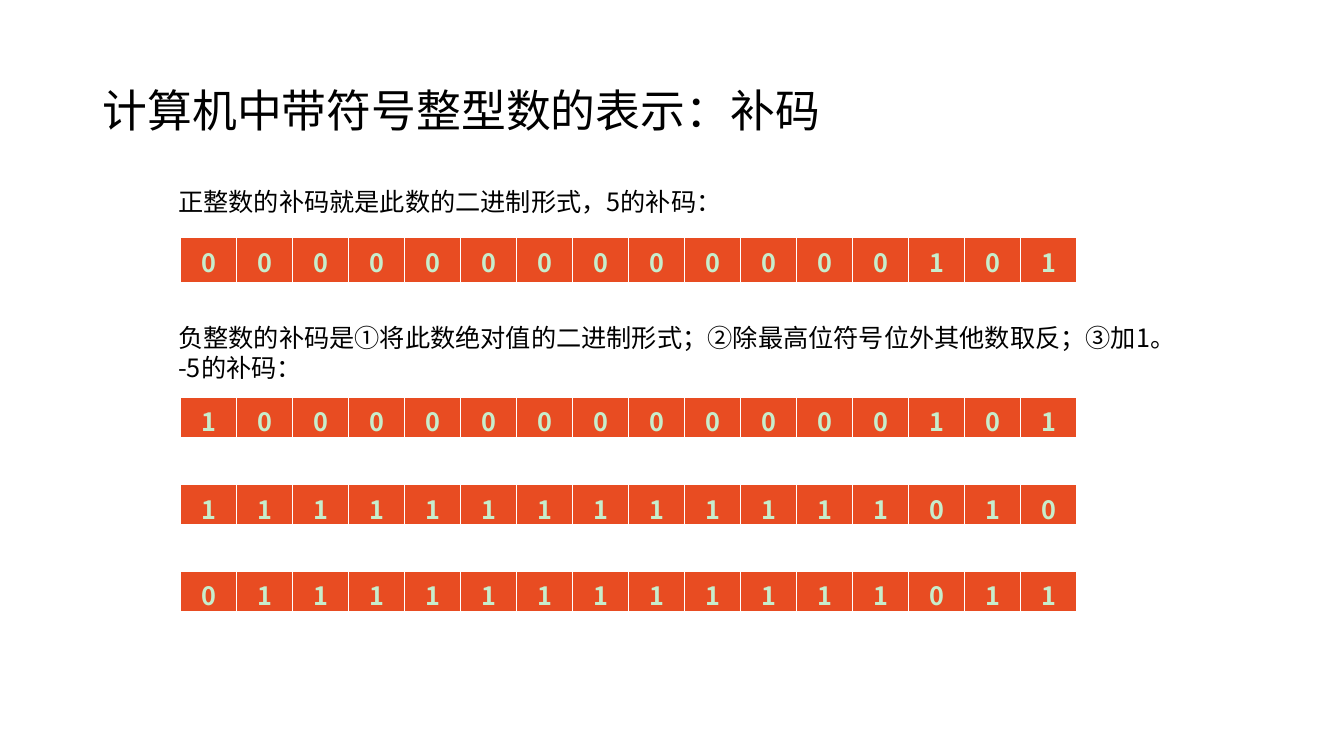
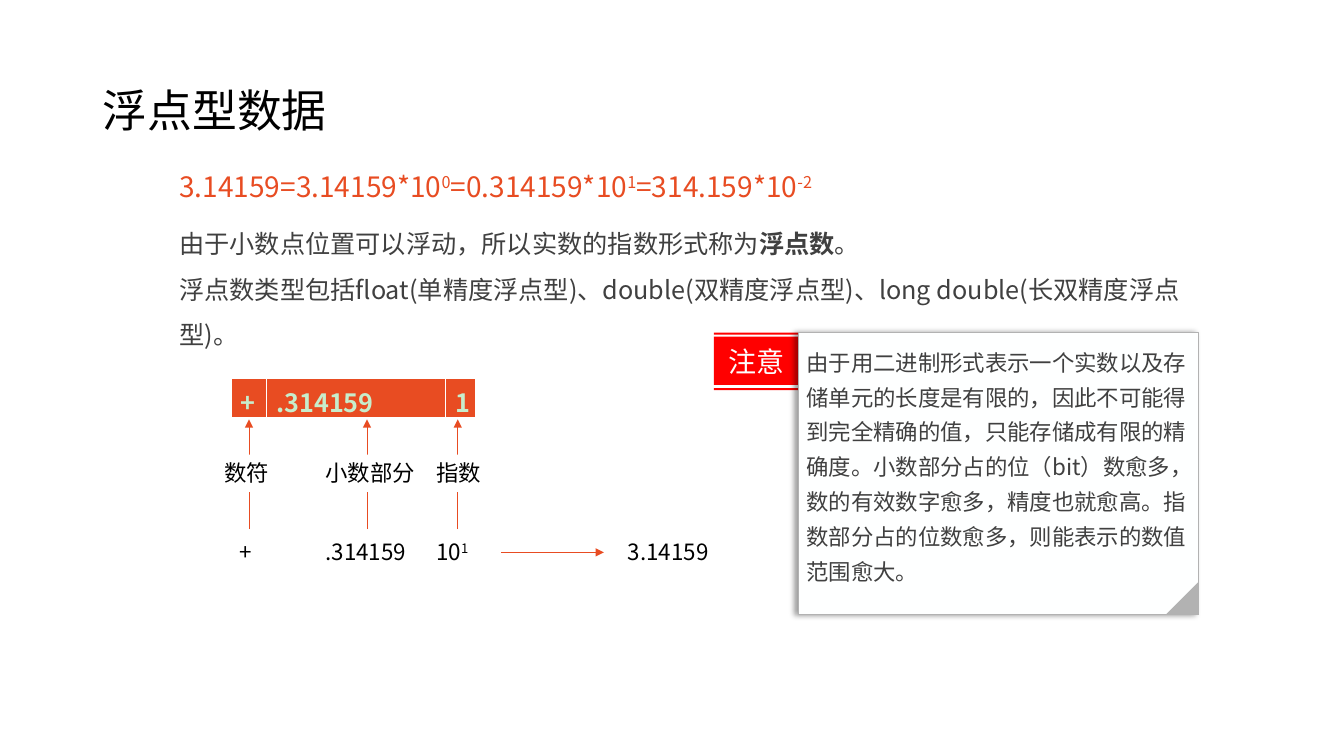
from lxml import etree
from pptx import Presentation
from pptx.dml.color import RGBColor
from pptx.enum import shapes, text
from pptx.oxml.ns import qn
from pptx.util import Inches, Pt

FONT = "Noto Sans CJK SC"
WHITE = RGBColor(0xFF, 0xFF, 0xFF)
BLACK = RGBColor(0x00, 0x00, 0x00)
ORANGE = RGBColor(0xE8, 0x4C, 0x22)
MINT = RGBColor(0xC7, 0xED, 0xCC)
GREY = RGBColor(0x40, 0x40, 0x40)
SILVER = RGBColor(0xB2, 0xB2, 0xB2)
RED = RGBColor(0xFF, 0x00, 0x00)
NOTE_WHITE = RGBColor(0xFE, 0xFF, 0xFF)

LEFT, CENTER, JUSTIFY = (text.PP_ALIGN.LEFT, text.PP_ALIGN.CENTER,
                         text.PP_ALIGN.JUSTIFY)
TOP, MIDDLE = text.MSO_ANCHOR.TOP, text.MSO_ANCHOR.MIDDLE


def write(frame, paragraphs, size, color, align=LEFT, spacing=None, bold=False,
          tabs=()):
    """Fill a text frame; each paragraph is a list of (text, style) runs,
    where style is "", "bold" or "super"; tabs are stops in inches."""
    frame.word_wrap = True
    for index, runs in enumerate(paragraphs):
        paragraph = frame.paragraphs[0] if index == 0 else frame.add_paragraph()
        paragraph.alignment = align
        if spacing:
            paragraph.line_spacing = spacing
        if tabs:
            stops = etree.SubElement(paragraph._p.get_or_add_pPr(), qn("a:tabLst"))
            for stop in tabs:
                etree.SubElement(stops, qn("a:tab"), pos=str(Inches(stop)), algn="l")
        for words, style in runs:
            run = paragraph.add_run()
            run.text = words
            run_format = {"name": FONT, "size": Pt(size),
                          "bold": bold or style == "bold"}
            for key, value in run_format.items():
                setattr(run.font, key, value)
            run.font.color.rgb = color
            properties = run._r.get_or_add_rPr()
            etree.SubElement(properties, qn("a:ea"), typeface=FONT)
            if style == "super":
                properties.set("baseline", "30000")


def add_cells(slide, left, top, widths, values, align, height=0.41):
    """Add a one-row table of orange cells."""
    table = slide.shapes.add_table(1, len(values), Inches(left), Inches(top),
                                   Inches(sum(widths)), Inches(height)).table
    table.first_row = table.horz_banding = False
    for column, width in zip(table.columns, widths):
        column.width = Inches(width)
    for cell, value in zip(table.rows[0].cells, values):
        cell.margin_bottom = 0
        properties = cell._tc.get_or_add_tcPr()
        for side, points in {"L": 1, "R": 1, "T": 1, "B": 3}.items():
            border = etree.SubElement(properties, qn(f"a:ln{side}"), w=str(Pt(points)))
            paint = etree.SubElement(border, qn("a:solidFill"))
            etree.SubElement(paint, qn("a:srgbClr"), val=str(WHITE))
        cell.fill.solid()
        cell.fill.fore_color.rgb = ORANGE
        write(cell.text_frame, [[(value, "")]], 18, MINT, align, bold=True)


deck = Presentation()
deck.slide_width, deck.slide_height = Inches(13.33), Inches(7.5)

pages = []
for heading in ("计算机中带符号整型数的表示：补码", "浮点型数据"):
    page = deck.slides.add_slide(deck.slide_layouts[6])
    page.background.fill.solid()
    page.background.fill.fore_color.rgb = WHITE
    title = page.shapes.add_textbox(Inches(0.92), Inches(0.4),
                                    Inches(11.5), Inches(1.45))
    title.text_frame.vertical_anchor = MIDDLE
    write(title.text_frame, [[(heading, "")]], 32, BLACK, spacing=0.9)
    pages.append(page)
complement, floating = pages

# Text blocks of both slides
text_blocks = [
    (complement, (1.67, 1.8, 9.42, 0.4), 18, BLACK, LEFT, None,
     [[("正整数的补码就是此数的二进制形式，5的补码：", "")]]),
    (complement, (1.67, 3.15, 10.43, 0.71), 18, BLACK, LEFT, None,
     [[("负整数的补码是①将此数绝对值的二进制形式；②除最高位符号位外其他数取反；③加1。", "")],
      [("-5的补码：", "")]]),
    (floating, (1.68, 1.63, 7.71, 0.44), 20, ORANGE, JUSTIFY, None,
     [[("3.14159=3.14159*10", ""), ("0", "super"), ("=0.314159*10", ""),
       ("1", "super"), ("=314.159*10", ""), ("-2", "super")]]),
    (floating, (1.68, 2.07, 10.48, 1.46), 18, GREY, LEFT, 1.5,
     [[("由于小数点位置可以浮动，所以实数的指数形式称为", ""), ("浮点数", "bold"), ("。", "")],
      [("浮点数类型包括float(单精度浮点型)、double(双精度浮点型)、"
        "long double(长双精度浮点型)。", "")]]),
]
for page, place, size, color, align, spacing, paragraphs in text_blocks:
    block = page.shapes.add_textbox(*map(Inches, place))
    write(block.text_frame, paragraphs, size, color, align, spacing)

# Slide 1: sixteen-bit rows
bit_rows = [(2.36, "0000000000000101", 0.46), (3.94, "1000000000000101", 0.41),
            (4.81, "1111111111111010", 0.41), (5.67, "0111111111111011", 0.41)]
for top, bits, height in bit_rows:
    add_cells(complement, 1.79, top, [8.89 / len(bits)] * len(bits), bits, CENTER,
              height)

# Slide 2: parts of a floating-point number
add_cells(floating, 2.29, 3.75, [0.35, 1.78, 0.3], ["+", ".314159", "1"], JUSTIFY)

arrows = [(x, 5.25, x, 4.16) for x in (2.47, 3.64, 4.54)] + [(4.97, 5.48, 5.99, 5.48)]
for ends in arrows:
    arrow = floating.shapes.add_connector(shapes.MSO_CONNECTOR.STRAIGHT,
                                          *map(Inches, ends))
    arrow.line.color.rgb = ORANGE
    arrow.line.width = Pt(0.5)
    etree.SubElement(arrow.line._get_or_add_ln(), qn("a:tailEnd"), type="triangle")
    etree.SubElement(arrow._element.spPr, qn("a:effectLst"))

# The names hide the middle of the arrows; the values let the last arrow show
part_rows = [
    (4.51, 2.96, True, (1, 2.1), [("数符\t小数部分\t指数", "")]),
    (5.29, 5.57, False, (0.15, 1, 2.1, 4),
     [("\t+\t.314159\t10", ""), ("1", "super"), ("\t3.14159", "")]),
]
for top, width, opaque, tabs, runs in part_rows:
    part = floating.shapes.add_shape(shapes.MSO_SHAPE.RECTANGLE, Inches(2.13),
                                     Inches(top), Inches(width), Inches(0.37))
    part.shadow.inherit = False
    if opaque:
        part.fill.solid()
        part.fill.fore_color.rgb = WHITE
    else:
        part.fill.background()
    part.line.fill.background()
    part.text_frame.vertical_anchor = TOP
    write(part.text_frame, [runs], 16, BLACK, tabs=tabs)

# Slide 2: caution badge, made of a block between two thin bars
badge_left, badge_right = Inches(7.08), Inches(7.92)
badge_bands = [(3.85, 3.87), (3.34, 3.82), (3.3, 3.32)]
outline = floating.shapes.build_freeform(badge_left, Inches(badge_bands[0][0]))
for index, (band_top, band_bottom) in enumerate(badge_bands):
    upper, lower = Inches(band_top), Inches(band_bottom)
    if index:
        outline.move_to(badge_left, upper)
    outline.add_line_segments([(badge_right, upper), (badge_right, lower),
                               (badge_left, lower)], close=True)
badge = outline.convert_to_shape()

note = floating.shapes.add_shape(shapes.MSO_SHAPE.RECTANGLE, Inches(7.92),
                                 Inches(3.3), Inches(3.97), Inches(2.8))
corner = floating.shapes.add_shape(shapes.MSO_SHAPE.RIGHT_TRIANGLE, Inches(11.56),
                                   Inches(5.77), Inches(0.33), Inches(0.33))
corner.rotation = 270
for piece, color in ((badge, RED), (note, NOTE_WHITE), (corner, SILVER)):
    piece.shadow.inherit = False
    piece.fill.solid()
    piece.fill.fore_color.rgb = color
    piece.line.fill.background()

badge.text_frame.vertical_anchor = MIDDLE
write(badge.text_frame, [[("注意", "")]], 20, NOTE_WHITE, CENTER)

note.line.color.rgb = SILVER
note.line.width = Pt(0.75)
shadow = etree.SubElement(note._element.spPr.find(qn("a:effectLst")),
                          qn("a:outerShdw"), blurRad=str(Pt(4)), dist=str(Pt(3)),
                          dir="10800000", algn="r", rotWithShape="0")
shade = etree.SubElement(shadow, qn("a:srgbClr"), val=str(BLACK))
etree.SubElement(shade, qn("a:alpha"), val="40000")
note_format = {"vertical_anchor": TOP}
note_format.update({f"margin_{side}": Inches(0.08)
                    for side in ("left", "top", "right", "bottom")})
for key, value in note_format.items():
    setattr(note.text_frame, key, value)
write(note.text_frame, [[(
    "由于用二进制形式表示一个实数以及存储单元的长度是有限的，因此不可能得到完全精确的值，"
    "只能存储成有限的精确度。小数部分占的位（bit）数愈多，数的有效数字愈多，精度也就愈高。"
    "指数部分占的位数愈多，则能表示的数值范围愈大。", "")]], 16, GREY, spacing=1.3)

deck.save("out.pptx")
